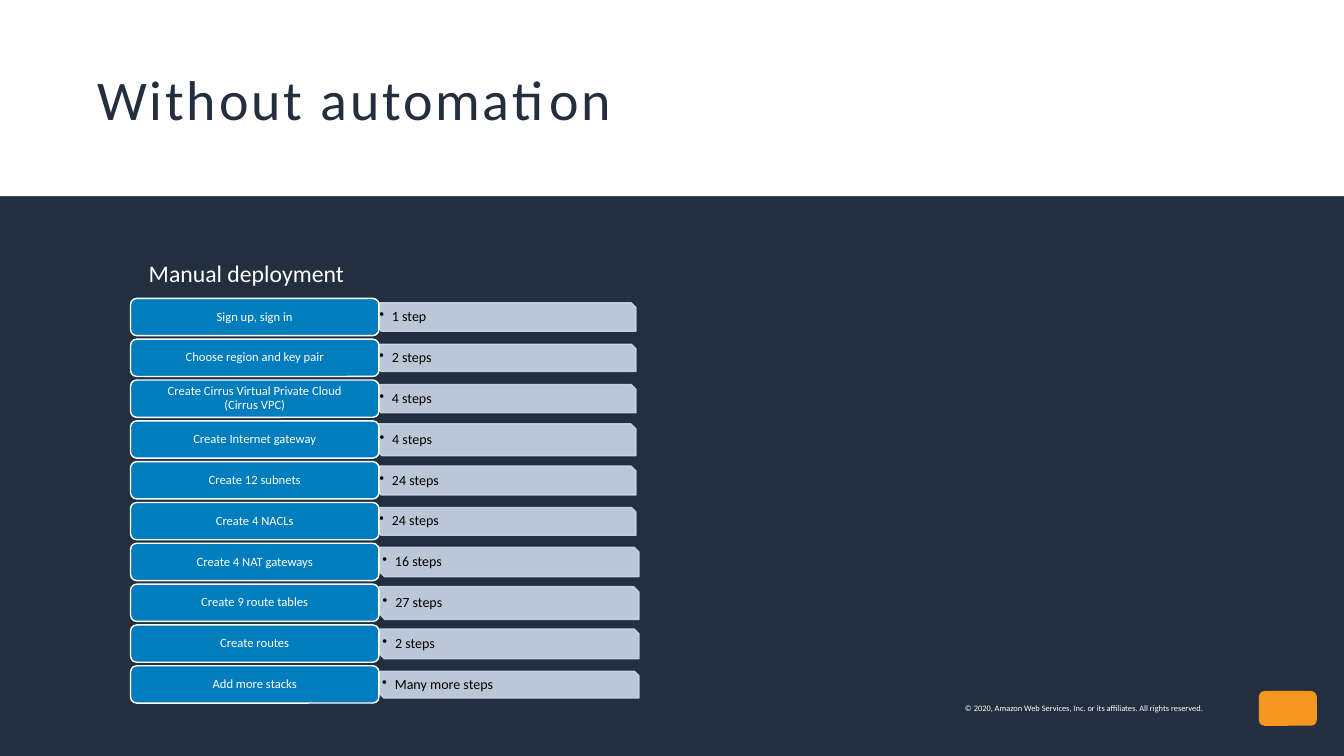
from dataclasses import dataclass

from lxml import etree
from pptx import Presentation
from pptx.dml.color import RGBColor
from pptx.enum.shapes import MSO_SHAPE
from pptx.enum.text import MSO_ANCHOR, PP_ALIGN
from pptx.oxml.ns import qn
from pptx.util import Pt

RECT = MSO_SHAPE.RECTANGLE
ROUND = MSO_SHAPE.ROUNDED_RECTANGLE
SNIP = MSO_SHAPE.SNIP_2_DIAG_RECTANGLE
TOP, MID = MSO_ANCHOR.TOP, MSO_ANCHOR.MIDDLE
LEFT, CENTER, RIGHT = PP_ALIGN.LEFT, PP_ALIGN.CENTER, PP_ALIGN.RIGHT
SCALE = 9144


@dataclass(frozen=True)
class Theme:
    """Colours, font and type sizes of the slide."""
    navy: str = "232F3E"
    white: str = "FFFFFF"
    black: str = "000000"
    blue: str = "007DBC"
    pale: str = "CCD7E7"
    orange: str = "F79720"
    font: str = "Calibri"
    title: float = 80
    head: float = 33.9
    count: float = 20
    task: float = 18
    legal: float = 12


THEME = Theme()

# Task, step count, bar left, bar height
ROWS = [
    ("Sign up, sign in", "1 step", 747, 56),
    ("Choose region and key pair", "2 steps", 747, 54),
    ("Create Cirrus Virtual Private Cloud\n(Cirrus VPC)", "4 steps", 747, 56),
    ("Create Internet gateway", "4 steps", 747, 63),
    ("Create 12 subnets", "24 steps", 747, 57),
    ("Create 4 NACLs", "24 steps", 747, 55),
    ("Create 4 NAT gateways", "16 steps", 753, 58),
    ("Create 9 route tables", "27 steps", 753, 65),
    ("Create routes", "2 steps", 753, 59),
    ("Add more stacks", "Many more steps", 753, 53),
]


def px(*vals):
    """Turn px lengths into EMU."""
    return [v * SCALE for v in vals]


def fade(color_fill, alpha):
    """Set the opacity of a solid fill in percent."""
    for clr in color_fill.iter(qn("a:srgbClr")):
        etree.SubElement(clr, qn("a:alpha")).set("val", str(alpha * 1000))


def add_box(slide, kind, box, fill, line=None, alpha=100):
    """Add a filled preset shape."""
    shape = slide.shapes.add_shape(kind, *px(*box))
    shape.shadow.inherit = False
    shape.fill.solid()
    shape.fill.fore_color.rgb = RGBColor.from_string(fill)
    if line:
        shape.line.color.rgb = RGBColor.from_string(line)
        shape.line.width = Pt(2)
    else:
        shape.line.fill.background()
    if alpha < 100:
        fade(shape.fill._xPr, alpha)
    return shape


def add_bullet(para):
    """Give a paragraph a hanging bullet."""
    props = para._p.get_or_add_pPr()
    props.set("marL", str(25 * SCALE))
    props.set("indent", str(-25 * SCALE))
    etree.SubElement(props, qn("a:buChar")).set("char", "•")


def set_text(shape, text, size, color, align=LEFT, anchor=MID,
             pads=(0, 0), bullet=False, tight=False, space=0):
    """Fill a shape with one styled paragraph."""
    frame = shape.text_frame
    frame.word_wrap = True
    frame.vertical_anchor = anchor
    frame.margin_left = frame.margin_right = pads[0] * SCALE
    frame.margin_top = frame.margin_bottom = pads[1] * SCALE
    para = frame.paragraphs[0]
    para.alignment = align
    if bullet:
        para.level = 1
        add_bullet(para)
    if tight:
        para.line_spacing = 0.9
    for num, part in enumerate(text.split("\n")):
        if num:
            para.add_line_break()
        run = para.add_run()
        run.text = part
        run.font.size = Pt(size)
        run.font.name = THEME.font
        run.font.color.rgb = RGBColor.from_string(color)
        if space:
            run._r.get_or_add_rPr().set("spc", str(space * 100))


def add_label(slide, box, text, size, color, **style):
    """Add a text box."""
    label = slide.shapes.add_textbox(*px(*box))
    set_text(label, text, size, color, **style)


def add_row(slide, mid, task, count, left, high):
    """Add a step bar and the task box that overlaps it."""
    bar = add_box(slide, SNIP, (left, mid - high // 2, 515, high),
                  THEME.pale, THEME.pale, alpha=90)
    fade(bar.line.fill._xPr, 90)
    set_text(bar, count, THEME.count, THEME.black, pads=(1, 1),
             bullet=True, tight=True)
    card = add_box(slide, ROUND, (259, mid - 37, 493, 74),
                   THEME.blue, THEME.white)
    set_text(card, task, THEME.task, THEME.white, align=CENTER,
             pads=(7, 4), tight=True)


def main():
    """Build and save the slide."""
    deck = Presentation()
    deck.slide_width, deck.slide_height = px(2667, 1500)
    slide = deck.slides.add_slide(deck.slide_layouts[6])
    slide.background.fill.solid()
    slide.background.fill.fore_color.rgb = RGBColor.from_string(THEME.navy)
    add_box(slide, ROUND, (2498, 1371, 115, 69), THEME.orange)
    add_box(slide, RECT, (0, 0, 2667, 389), THEME.white)
    add_label(slide, (193, 49, 2281, 290), "Without automation",
              THEME.title, THEME.navy, space=4)
    add_label(slide, (1082, 1395, 1306, 20),
              "© 2020, Amazon Web Services, Inc. or its affiliates. "
              "All rights reserved.",
              THEME.legal, THEME.white, align=RIGHT, anchor=TOP)
    for num, row in enumerate(ROWS):
        add_row(slide, 629 + 81 * num, *row)
    add_label(slide, (216, 508, 546, 67), "Manual deployment", THEME.head,
              THEME.white, align=CENTER, anchor=TOP, pads=(10, 5))
    deck.save("out.pptx")


if __name__ == "__main__":
    main()
